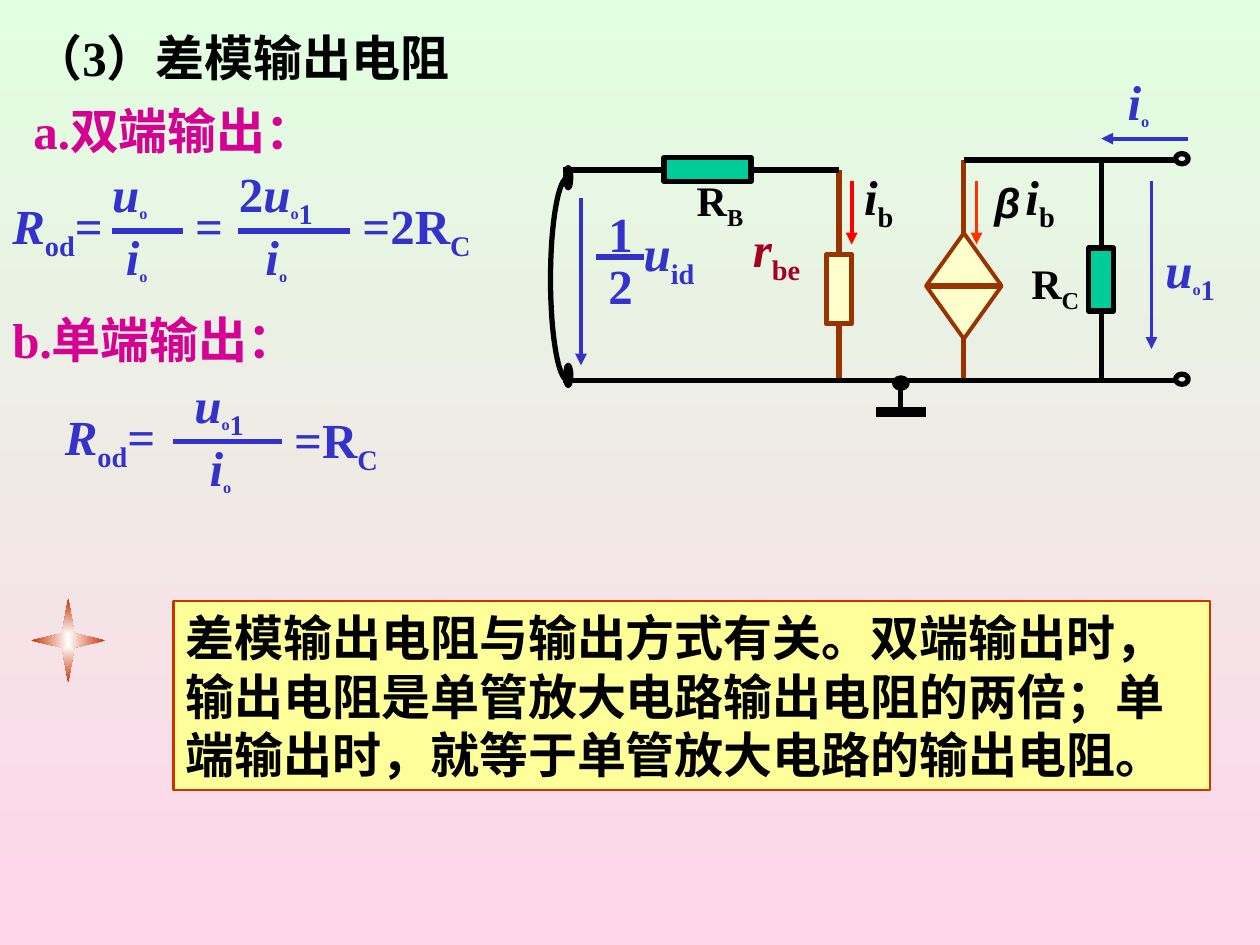
import math
from dataclasses import dataclass

import pptx
import pptx.dml.color
import pptx.enum.shapes
import pptx.enum.text
import pptx.oxml
import pptx.oxml.ns
import pptx.util

Pt = pptx.util.Pt
RGB = pptx.dml.color.RGBColor.from_string
Kind = pptx.enum.shapes.MSO_SHAPE
Fit = pptx.enum.text.MSO_AUTO_SIZE
Align = pptx.enum.text.PP_ALIGN
Anchor = pptx.enum.text.MSO_ANCHOR
qn = pptx.oxml.ns.qn


class Theme:
    black, white = RGB("000000"), RGB("FFFFFF")
    blue, pink, wine = RGB("3333CC"), RGB("D60093"), RGB("A50021")
    green, cream, brown = RGB("00CC99"), RGB("FFFFCC"), RGB("993300")
    red, flame = RGB("FF0000"), RGB("FF3300")
    rust, yellow = RGB("CC3300"), RGB("FFFF99")
    top, base = RGB("E1FFE1"), RGB("FFD5EA")
    face, greek = "Times New Roman", "Arial"
    big, mid, small = 28, 24, 16
    thin, wire, bar = 2.25, 3, 6


# Runs are (text, style): i italic, s subscript, o small subscript
U = [("u", "i"), ("o", "o")]
I = [("i", "i"), ("o", "o")]
U1 = U + [("1", "s")]
IB = [("i", "i"), ("b", "s")]
ROD = [("R", "i"), ("od", "s"), ("=", "")]


def write(frame, runs, color, size=Theme.big, face=Theme.face, align=Align.LEFT):
    para = frame.paragraphs[0]
    para.alignment = align
    for words, style in runs:
        run = para.add_run()
        run.text = words
        font = run.font
        font.name, font.bold, font.italic = face, True, style == "i"
        font.size = Pt(Theme.small if style == "o" else size)
        font.color.rgb = color
        if style in ("s", "o"):
            run._r.get_or_add_rPr().set("baseline", "-25000")


def blend(fill, first, last):
    fill.gradient()
    for stop, color in zip(fill.gradient_stops, (first, last)):
        stop.color.rgb = color


@dataclass
class Box:
    """A region whose parts are placed from its left top corner, in points."""
    slide: object
    left: float
    top: float

    def spot(self, x, y):
        return Pt(self.left + x), Pt(self.top + y)

    def text(self, x, y, w, h, runs, color, mid=False, **look):
        item = self.slide.shapes.add_textbox(*self.spot(x, y), Pt(w), Pt(h))
        frame = item.text_frame
        frame.word_wrap = True
        frame.auto_size = Fit.SHAPE_TO_FIT_TEXT
        if mid:
            frame.vertical_anchor = Anchor.MIDDLE
            look["align"] = Align.CENTER
        write(frame, runs, color, **look)

    def line(self, x1, y1, x2, y2, color=Theme.black, width=Theme.wire, arrow=False):
        item = self.slide.shapes.add_connector(
            pptx.enum.shapes.MSO_CONNECTOR.STRAIGHT, *self.spot(x1, y1), *self.spot(x2, y2))
        item.line.color.rgb = color
        item.line.width = Pt(width)
        if arrow:
            tip = pptx.oxml.parse_xml(
                '<a:tailEnd xmlns:a="http://schemas.openxmlformats.org/drawingml/2006/main"'
                ' type="triangle"/>')
            item.line._get_or_add_ln().append(tip)
        props = item._element.spPr
        props.append(props.makeelement(qn("a:effectLst"), {}))

    def arrow(self, x1, y1, x2, y2, color):
        self.line(x1, y1, x2, y2, color, Theme.thin, True)

    def shape(self, kind, x, y, w, h, fill=None, line=Theme.black, width=Theme.wire):
        item = self.slide.shapes.add_shape(kind, *self.spot(x, y), Pt(w), Pt(h))
        return self.paint(item, fill, line, width)

    def paint(self, item, fill, line, width):
        item.shadow.inherit = False
        if fill is None:
            item.fill.background()
        else:
            item.fill.solid()
            item.fill.fore_color.rgb = fill
        if line is None:
            item.line.fill.background()
        else:
            item.line.color.rgb = line
            item.line.width = Pt(width)
        return item

    def bow(self, x, y, w, h, steps=32):
        """Left half of an ellipse, open at the right."""
        turns = [math.pi * k / steps for k in range(steps + 1)]
        dots = [self.spot(x + w - w * math.sin(t), y + h / 2 * (1 - math.cos(t)))
                for t in turns]
        pen = self.slide.shapes.build_freeform(*dots[0])
        pen.add_line_segments(dots[1:], close=False)
        self.paint(pen.convert_to_shape(), None, Theme.black, Theme.wire)


def heads(box):
    for x, y, w, words, color in [(12, 12, 325, "（3）差模输出电阻", Theme.black),
                                  (12, 54, 246, "a.双端输出：", Theme.pink),
                                  (0, 173.5, 251, "b.单端输出：", Theme.pink)]:
        box.text(x, y, w, 41, [(words, "")], color)


def ratio(box, x, w, upper, shift, lower):
    """Fraction over i; shift and lower move its two parts from the bar's start."""
    box.text(x + shift, 0, 72, 45, upper, Theme.blue)
    box.text(x + lower, 36, 40, 41, I, Theme.blue)
    box.line(x, 42, x + w, 42, Theme.blue)


def double(box):
    box.text(0, 18, 88, 45, ROD, Theme.blue)
    ratio(box, 64, 40.3, U, -7, 0.8)
    box.text(104.4, 18, 40, 41, [("=", "")], Theme.blue)
    ratio(box, 136, 64, [("2", "")] + U1, -6.5, 8.6)
    box.text(200, 18, 120, 45, [("=2R", ""), ("C", "s")], Theme.blue)


def single(box):
    box.text(0, 18, 114, 45, ROD, Theme.blue)
    ratio(box, 69, 62, U1, 5, 13.7)
    box.text(131, 20, 156, 45, [("=R", ""), ("C", "s")], Theme.blue)


def star(box):
    item = box.shape(Kind.STAR_4_POINT, 0, 0, 42, 48, line=None)
    item.adjustments[0] = 0.12
    blend(item.fill, Theme.white, Theme.rust)
    grad = item._element.spPr.find(qn("a:gradFill"))
    grad.replace(grad.find(qn("a:lin")), pptx.oxml.parse_xml(
        '<a:path xmlns:a="http://schemas.openxmlformats.org/drawingml/2006/main" path="rect">'
        '<a:fillToRect l="50000" t="50000" r="50000" b="50000"/></a:path>'))


def note(box):
    item = box.shape(Kind.RECTANGLE, 0, 0, 592.5, 108, Theme.yellow, Theme.rust, 1.5)
    frame = item.text_frame
    frame.word_wrap = True
    frame.auto_size = Fit.SHAPE_TO_FIT_TEXT
    frame.vertical_anchor = Anchor.TOP
    write(frame, [("差模输出电阻与输出方式有关。双端输出时，输出电阻是单管放大电路"
                   "输出电阻的两倍；单端输出时，就等于单管放大电路的输出电阻。", "")], Theme.black)


def circuit(box):
    t = Theme
    high, low, roof = 61.2, 181.4, 55.4
    left, base, source, load, port = 7.8, 165.5, 236.8, 315.3, 357.8
    # Wires
    box.line(base, high, base, low, t.brown)
    box.line(source, low, source, roof, t.brown)
    box.line(load, roof, load, low)
    box.line(left, low, port, low)
    box.line(left, high, base, high)
    box.line(source, roof, port, roof)
    box.line(200.8, low, 200.8, 199.4)
    box.line(186.4, 199.4, 215.2, 199.4, width=t.bar)
    box.bow(0.6, 65.5, 10, 116)
    # Parts
    box.shape(Kind.RECTANGLE, 65.5, 54, 49.7, 13.7, t.green)
    box.shape(Kind.RECTANGLE, 158.3, 109.4, 14.4, 39.6, t.cream, t.brown)
    box.shape(Kind.RECTANGLE, 308, 105.8, 14.4, 36, t.green)
    box.shape(Kind.DIAMOND, 215.2, 97.2, 43.2, 60.4, t.cream, t.brown, t.thin)
    box.line(215.2, 127.4, 258.4, 127.4, t.brown)
    # Nodes
    box.shape(Kind.OVAL, 197.2, 180, 7.2, 5.8, t.black)
    for y in (51.8, 177.8):
        box.shape(Kind.OVAL, port, y, 7.2, 5.8)
    for y in (59.8, 172.8):
        box.shape(Kind.OVAL, 9.3, y, 2.9, 11.5, t.black)
    # Currents and voltages
    box.arrow(172.7, 67.7, 172.7, 103.7, t.red)
    box.arrow(244, 67.7, 244, 103.7, t.flame)
    box.arrow(18, 77, 18, 172.8, t.blue)
    box.arrow(344, 67.7, 344, 163.4, t.blue)
    box.arrow(365, 43.2, 315.3, 43.2, t.blue)
    # Labels
    box.text(90.5, 85.7, 78.5, 45, [("r", "i"), ("be", "s")], t.wine, mid=True)
    box.text(58.2, 59.8, 78.5, 40, [("R", ""), ("B", "s")], t.black, mid=True, size=t.mid)
    box.text(258.4, 107.3, 61.2, 40, [("R", ""), ("C", "s")], t.black, mid=True, size=t.mid)
    box.text(236.8, 61.2, 49.7, 36, [("β", "i")], t.black, mid=True,
             size=t.mid, face=t.greek)
    for x in (172.7, 264.9):
        box.text(x, 55.4, 49.7, 45, IB, t.black)
    box.text(344.8, 97.2, 54, 45, U1, t.blue)
    box.text(323.2, 1.4, 40, 41, I, t.blue)
    for y, digit in ((77, "1"), (106.6, "2")):
        box.text(26.6, y, 60, 41, [(digit, "")], t.blue)
    box.text(46.7, 87.8, 84, 45, [("u", "i"), ("id", "s")], t.blue)
    box.line(26.6, 110.9, 54, 110.9, t.blue)


def main():
    deck = pptx.Presentation()
    deck.slide_width, deck.slide_height = Pt(720), Pt(540)
    slide = deck.slides.add_slide(deck.slide_layouts[6])
    fill = slide.background.fill
    blend(fill, Theme.top, Theme.base)
    fill.gradient_angle = 270
    heads(Box(slide, 0, 0))
    double(Box(slide, 0, 90))
    single(Box(slide, 30, 210.5))
    star(Box(slide, 18, 342))
    note(Box(slide, 99, 343.5))
    circuit(Box(slide, 314, 36))
    deck.save("out.pptx")


if __name__ == "__main__":
    main()
